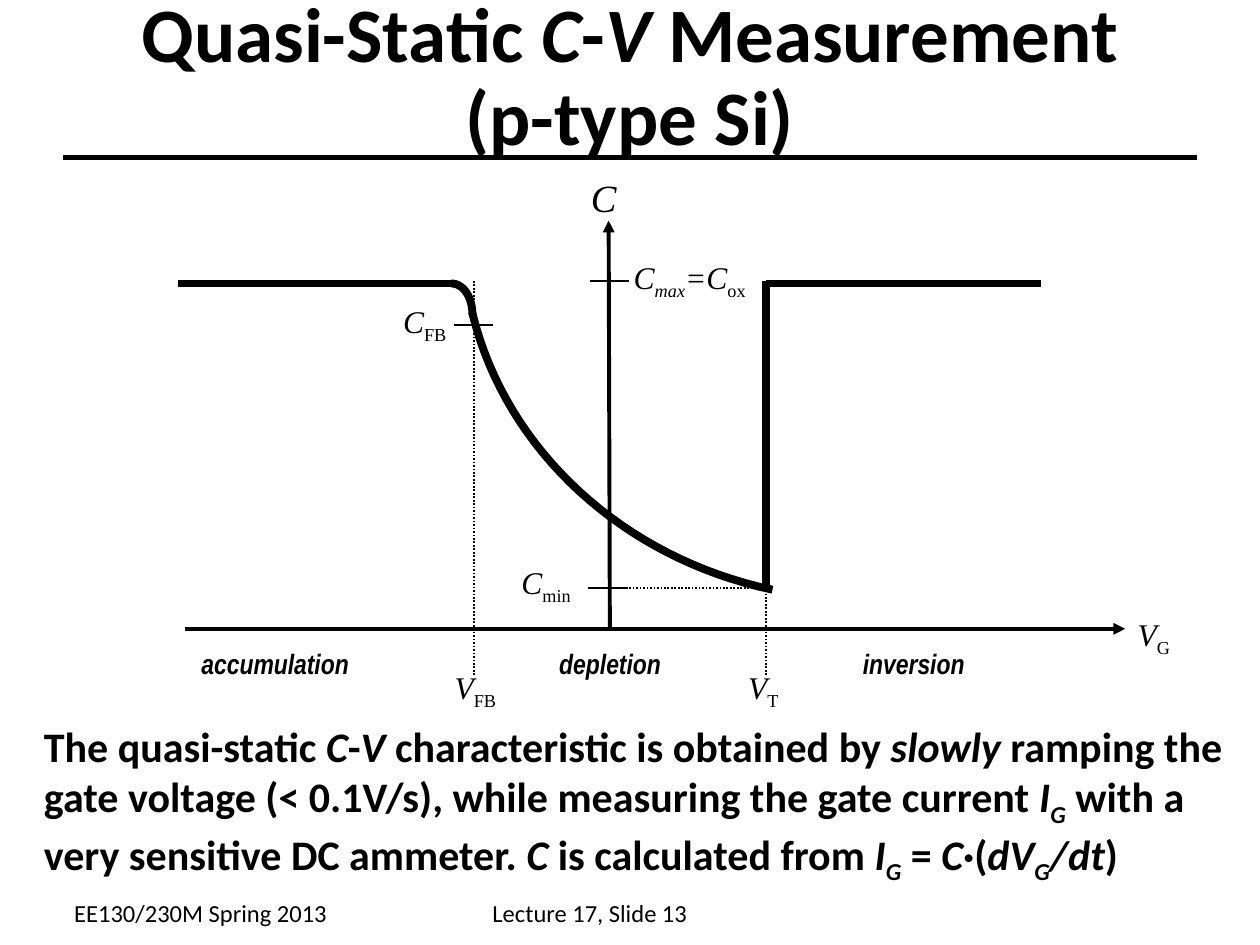
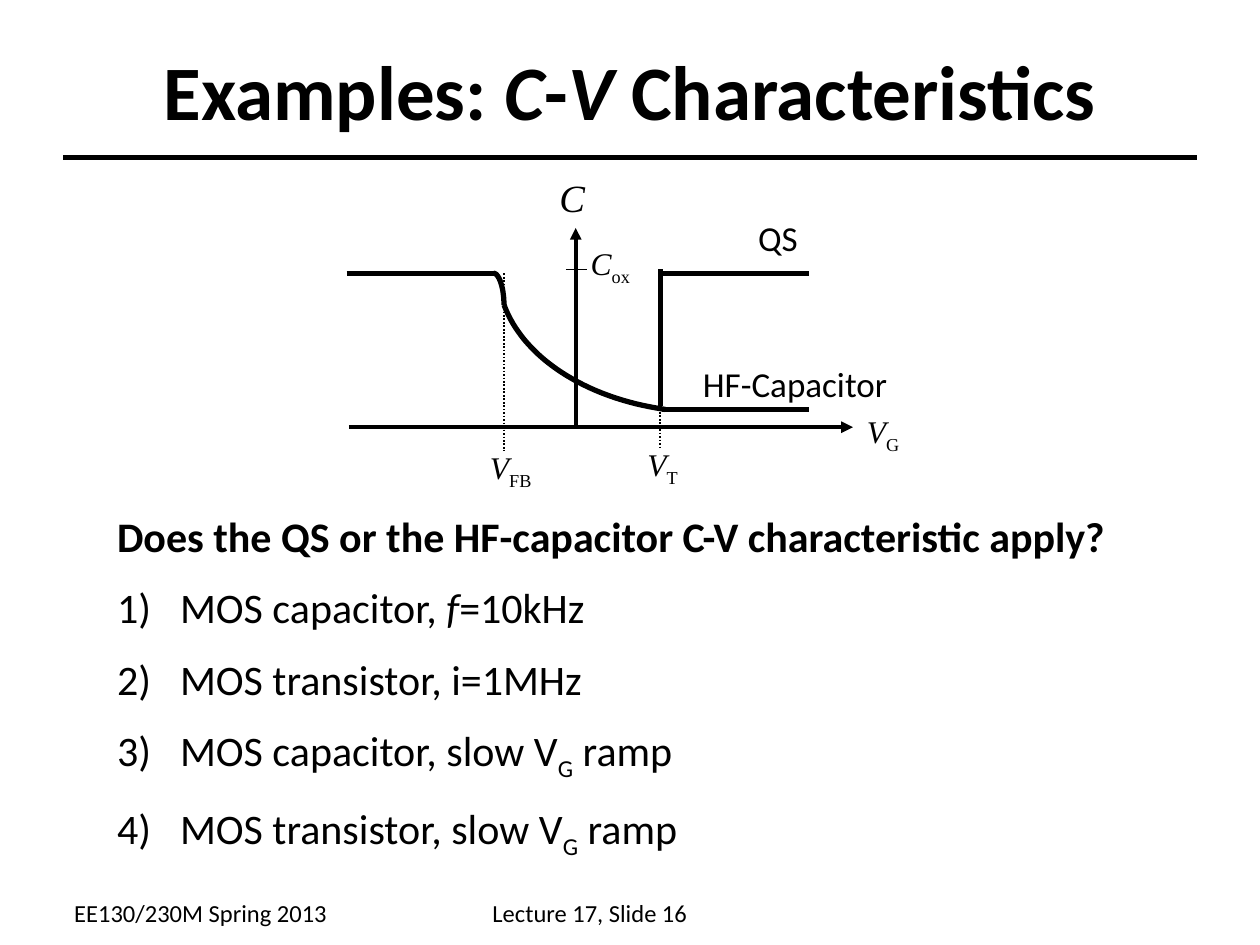
from lxml.etree import SubElement as sub
from pptx import Presentation
from pptx.dml.color import RGBColor
from pptx.enum.dml import MSO_LINE as Dash
from pptx.enum.shapes import MSO_CONNECTOR as Link
from pptx.enum.text import MSO_ANCHOR as Anchor, PP_ALIGN as Align
from pptx.oxml.ns import qn
from pptx.util import Pt

# Shared look
ink = RGBColor.from_string("000000")
sans, serif, narrow = "Calibri", "Times New Roman", "Arial Narrow"
thin, axis = 1, 2.25


def write(slide, box, text, size, face=sans, bold=False):
    """Text box; *...* marks italics and _..._ marks subscripts."""
    frame = slide.shapes.add_textbox(*map(Pt, box)).text_frame
    frame.word_wrap = True
    for n, line in enumerate(text if isinstance(text, list) else [text]):
        para = frame.add_paragraph() if n else frame.paragraphs[0]
        for i, part in enumerate(line.split("*")):
            for j, piece in enumerate(part.split("_")):
                for k, words in enumerate(piece.split("\n")):
                    if k:
                        para.add_line_break()
                    if not words:
                        continue
                    run = para.add_run()
                    run.text = words
                    font = run.font
                    font.name, font.size, font.bold = face, Pt(size), bold
                    font.italic = i % 2 == 1
                    font.color.rgb = ink
                    if j % 2:
                        font._element.set("baseline", "-25000")
    return frame


def draw(slide, pts, width, dots=False, arrow=False):
    """Straight line through two points, or a Bezier curve through four."""
    if len(pts) == 2:
        (x1, y1), (x2, y2) = pts
        shape = slide.shapes.add_connector(
            Link.STRAIGHT, Pt(x1), Pt(y1), Pt(x2), Pt(y2))
    else:
        path = []
        for step in range(33):
            t = step / 32
            mix = [(1 - t) ** 3, 3 * t * (1 - t) ** 2, 3 * t * t * (1 - t), t ** 3]
            path.append([Pt(sum(m * p[d] for m, p in zip(mix, pts))) for d in (0, 1)])
        pen = slide.shapes.build_freeform(*path[0])
        pen.add_line_segments(path[1:], close=False)
        shape = pen.convert_to_shape()
        shape.fill.background()
    shape.line.color.rgb = ink
    shape.line.width = Pt(width)
    if dots:
        shape.line.dash_style = Dash.ROUND_DOT
    props = shape._element.spPr
    if arrow:
        sub(props.find(qn("a:ln")), qn("a:tailEnd"), type="triangle")
    sub(props, qn("a:effectLst"))


deck = Presentation()
deck.slide_width, deck.slide_height = Pt(720), Pt(540)

# Title, rule and footer of each slide
heads = [
    (13, 0, 0.9, "Quasi-Static *C*-*V* Measurement\n(p-type Si)"),
    (16, 6, 1, "Examples: *C*-*V* Characteristics"),
]
slides = []
for page, top, space, head in heads:
    slide = deck.slides.add_slide(deck.slide_layouts[6])
    slides.append(slide)
    draw(slide, [(36, 90), (684, 90)], 3)
    title = write(slide, (36, top, 648, 90), head, 44, bold=True)
    title.vertical_anchor = Anchor.MIDDLE
    title.paragraphs[0].alignment = Align.CENTER
    title.paragraphs[0].line_spacing = space
    write(slide, (35.3, 509.8, 170, 24.5), "EE130/230M Spring 2013", 14)
    write(slide, (274.3, 509.8, 171, 24.5), f"Lecture 17, Slide {page}", 14)
quasi, cases = slides

# Plots: axes, dotted guides, ticks, heavy trace and curves
plots = [
    (quasi, 4.5,
     [[(106, 359.3), (643, 359.3)], [(348.5, 359.3), (347.8, 126)]],
     [[(270.7, 160.6), (270.7, 386)], [(437.8, 160.6), (437.8, 386)],
      [(432, 336.2), (354.2, 336.2)]],
     [[(337, 160.6), (359.3, 160.6)], [(336.2, 336.2), (358.6, 336.2)],
      [(259.2, 185.8), (281.5, 185.8)]],
     [[(102, 162), (259, 162)], [(437.8, 336.2), (437.8, 160.6)],
      [(437.8, 162), (594.7, 162)],
      [(257.8, 162), (265, 162), (270, 170), (270, 180)],
      [(270, 179.3), (289.4, 257.8), (356.4, 319), (441.4, 337)]]),
    (cases, 3,
     [[(199.4, 244.1), (487.4, 244.1)], [(329, 244.1), (329, 130.3)]],
     [[(288, 156.2), (288, 257.8)], [(377.3, 154), (377.3, 256.3)]],
     [[(323.3, 154), (335.5, 154)]],
     [[(198, 156.2), (282.2, 156.2)], [(377.3, 231.8), (377.3, 154)],
      [(378, 156.2), (462.2, 156.2)], [(378, 234), (462.2, 234)],
      [(282.2, 156.2), (285, 156.2), (288, 164.2), (288, 174.2)],
      [(288, 174.2), (298.8, 203.8), (334, 227.5), (380.2, 234)]]),
]
for slide, heavy, axes, guides, ticks, trace in plots:
    for pts in axes:
        draw(slide, pts, axis, arrow=True)
    for pts in guides:
        draw(slide, pts, thin, dots=True)
    for pts in ticks:
        draw(slide, pts, thin)
    for pts in trace:
        draw(slide, pts, heavy)

# Symbols beside the plots
signs = [
    (quasi, 643, 347.8, 37, "*V*_G_"),
    (quasi, 252.7, 378, 42, "*V*_FB_"),
    (quasi, 420.5, 378, 36, "*V*_T_"),
    (quasi, 355, 144, 84, "*C_max_=C*_ox_"),
    (quasi, 290.9, 318.2, 48, "*C*_min_"),
    (quasi, 223.2, 169.2, 43, "*C*_FB_"),
    (cases, 488.2, 231.8, 37, "*V*_G_"),
    (cases, 272.9, 252.7, 42, "*V*_FB_"),
    (cases, 362.9, 250.6, 36, "*V*_T_"),
    (cases, 330.5, 136, 41, "*C*_ox_"),
]
for slide, left, top, wide, sign in signs:
    write(slide, (left, top, wide, 32), sign, 18, serif)
for slide, left in [(quasi, 330.5), (cases, 312.5)]:
    write(slide, (left, 95.8, 32, 34), "*C*", 22, serif)

# Bias ranges and explanation
for left, wide, name in [(108, 108, "accumulation"), (312.5, 77, "depletion"),
                         (486, 78, "inversion")]:
    write(quasi, (left, 365.8, wide, 26.6), f"*{name}*", 16, narrow, True)
write(quasi, (18, 408.2, 696, 101.5),
      "The quasi-static *C*-*V* characteristic is obtained by* slowly *ramping the "
      "gate voltage (< 0.1V/s), while measuring the gate current *I_G_* with a very "
      "sensitive DC ammeter. *C* is calculated from *I_G_* = *C*·(*dV_G_/dt*)",
      24, bold=True)

# Trace names and questions
write(cases, (426.2, 120.2, 41, 32), "QS", 20)
write(cases, (394.6, 203.8, 124, 32), "HF-Capacitor", 20)
quiz = write(cases, (59.8, 288, 606, 207), [
    "Does the QS or the HF-capacitor C-V characteristic apply?",
    "MOS capacitor, *f*=10kHz",
    "MOS transistor, i=1MHz",
    "MOS capacitor, slow V_G_ ramp",
    "MOS transistor, slow V_G_ ramp"], 24)
for n, para in enumerate(quiz.paragraphs):
    para.space_after = Pt(6)
    props = para._p.get_or_add_pPr()
    props.set("marL", str(Pt(36)))
    props.set("indent", str(-Pt(36)))
    if n:
        para.space_before = Pt(6)
        sub(props, qn("a:buAutoNum"), type="arabicParenR")
    else:
        para.runs[0].font.bold = True

deck.save("out.pptx")
